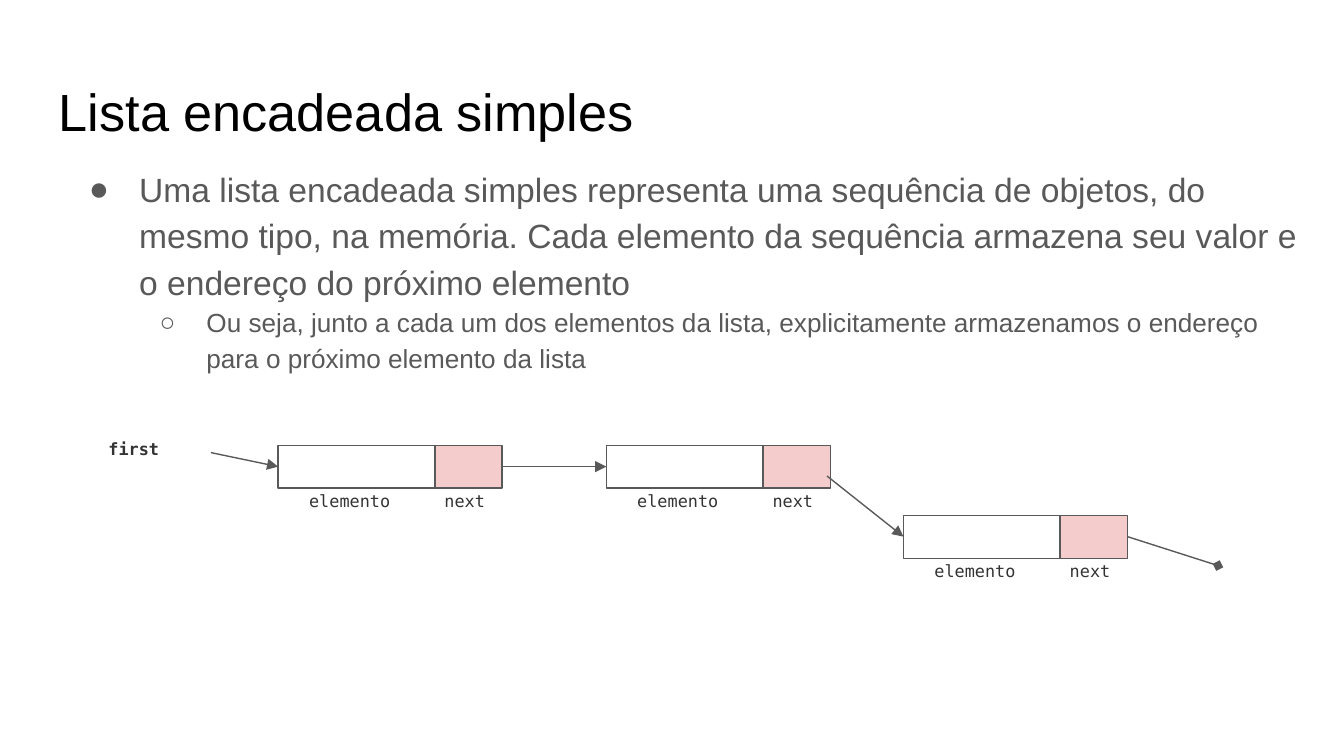
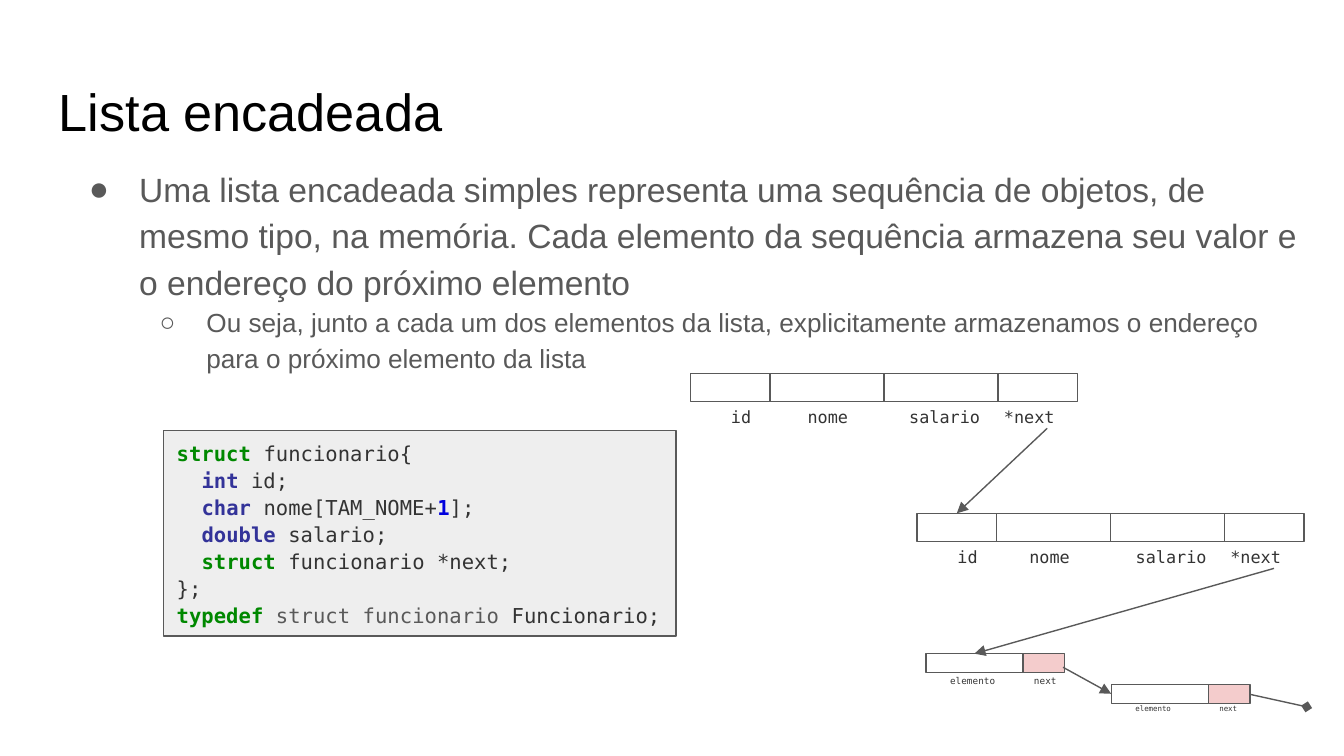
import lxml.etree
import pptx
import pptx.dml.color
import pptx.enum.shapes
import pptx.enum.text
import pptx.oxml.ns
import pptx.util

Pt = pptx.util.Pt
qn = pptx.oxml.ns.qn
GRAY, INK, PINK, PANEL = "595959", "333333", "F4CCCC", "EEEEEE"
KEYWORD, TYPE, NUMBER = "008800", "333399", "0000DD"
SANS, MONO = "Arial", "DejaVu Sans Mono"
DETAIL = (
    "Ou seja, junto a cada um dos elementos da lista, explicitamente "
    "armazenamos o endereço para o próximo elemento da lista"
)
STRUCT_CODE = [
    [("struct", KEYWORD), (" funcionario{", INK)],
    [("  ", INK), ("int", TYPE), (" id;", INK)],
    [("  ", INK), ("char", TYPE), (" nome[TAM_NOME+", INK), ("1", NUMBER), ("];", INK)],
    [("  ", INK), ("double", TYPE), (" salario;", INK)],
    [("  ", INK), ("struct", KEYWORD), (" funcionario *next;", INK)],
    [("};", INK)],
    [("typedef ", KEYWORD), ("struct funcionario ", GRAY), ("Funcionario;", INK)],
]


def rgb(value):
    return pptx.dml.color.RGBColor.from_string(value)


def assign(target, values):
    for key, value in values.items():
        setattr(target, key, value)


class Lecture:
    """Style of the lecture and the slide being filled."""

    FRAME = {
        "word_wrap": True,
        "vertical_anchor": pptx.enum.text.MSO_ANCHOR.TOP,
        **{f"margin_{side}": Pt(7.2) for side in ("left", "top", "right", "bottom")},
    }
    BULLETS = [("●", 18, 36, -27), ("○", 14, 72, -25)]

    def __init__(self):
        self.deck = pptx.Presentation()
        assign(self.deck, {"slide_width": Pt(720), "slide_height": Pt(405)})
        self.slide = None

    def page(self, title, statement):
        self.slide = self.deck.slides.add_slide(self.deck.slide_layouts[6])
        self.label(title, 24.5, 35, 671, 45.5, 28, "000000", SANS)
        self.bullets([statement, DETAIL])

    def frame(self, x, y, width, height):
        box = self.slide.shapes.add_textbox(Pt(x), Pt(y), Pt(width), Pt(height))
        assign(box.text_frame, self.FRAME)
        return box.text_frame

    def run(self, paragraph, text, size, color, font, bold=False):
        run = paragraph.add_run()
        run.text = text
        assign(run.font, {"size": Pt(size), "name": font, "bold": bold})
        run.font.color.rgb = rgb(color)

    def label(self, text, x, y, width, height, size=9, color=INK, font=MONO, bold=False):
        paragraph = self.frame(x, y, width, height).paragraphs[0]
        self.run(paragraph, text, size, color, font, bold)

    def bullets(self, texts):
        body = self.frame(31.5, 80, 671, 269)
        for level, (text, (mark, size, margin, indent)) in enumerate(zip(texts, self.BULLETS)):
            paragraph = body.paragraphs[0] if level == 0 else body.add_paragraph()
            assign(paragraph, {"level": level, "line_spacing": 1.15})
            self.run(paragraph, text, size, GRAY, SANS)
            properties = paragraph._p.get_or_add_pPr()
            properties.set("marL", str(Pt(margin)))
            properties.set("indent", str(Pt(indent)))
            tint = lxml.etree.SubElement(properties, qn("a:buClr"))
            lxml.etree.SubElement(tint, qn("a:srgbClr"), val=GRAY)
            lxml.etree.SubElement(properties, qn("a:buFont"), typeface=SANS)
            lxml.etree.SubElement(properties, qn("a:buChar"), char=mark)

    def cell(self, x, y, width, height, fill=None):
        cell = self.slide.shapes.add_shape(
            pptx.enum.shapes.MSO_SHAPE.RECTANGLE, Pt(x), Pt(y), Pt(width), Pt(height)
        )
        cell.shadow.inherit = False
        if fill:
            cell.fill.solid()
            cell.fill.fore_color.rgb = rgb(fill)
        else:
            cell.fill.background()
        cell.line.color.rgb = rgb(GRAY)
        cell.line.width = Pt(0.75)
        return cell

    def code(self, lines, x, y, width, height):
        listing = self.cell(x, y, width, height, PANEL).text_frame
        middle = pptx.enum.text.MSO_ANCHOR.MIDDLE
        assign(listing, {**self.FRAME, "vertical_anchor": middle})
        for number, tokens in enumerate(lines):
            paragraph = listing.add_paragraph() if number else listing.paragraphs[0]
            assign(paragraph, {"line_spacing": 1.1, "alignment": pptx.enum.text.PP_ALIGN.LEFT})
            for text, color in tokens:
                self.run(paragraph, text, 11, color, MONO, color in (KEYWORD, TYPE, NUMBER))

    def node(self, x, y, size=9, across=1, down=1):
        self.cell(x + 84 * across, y, 36 * across, 23 * down, PINK)
        self.cell(x, y, 84 * across, 23 * down)
        for text, offset, width in (("elemento", 9.5, 63), ("next", 82, 43)):
            self.label(text, x + offset * across, y + 18.7 * down, width * across, 26.5 * down, size)

    def record(self, x, y, nome_offset):
        left = x
        for width in (42.6, 61, 61, 42.6):
            self.cell(left, y, width, 15)
            left += width
        fields = (("id", 14.5, 26), ("nome", nome_offset, 48), ("salario", 110, 55), ("*next", 160.7, 60))
        for text, offset, width in fields:
            self.label(text, x + offset, y + 12.3, width, 17)

    def pointer(self, start, end, head="triangle"):
        arrow = self.slide.shapes.add_connector(
            pptx.enum.shapes.MSO_CONNECTOR.STRAIGHT, *(Pt(value) for value in (*start, *end))
        )
        arrow.line.color.rgb = rgb(GRAY)
        arrow.line.width = Pt(0.75)
        properties = arrow._element.spPr
        lxml.etree.SubElement(properties.find(qn("a:ln")), qn("a:tailEnd"), type=head)
        lxml.etree.SubElement(properties, qn("a:effectLst"))


def statement(preposition):
    return (
        f"Uma lista encadeada simples representa uma sequência de objetos, {preposition} "
        "mesmo tipo, na memória. Cada elemento da sequência armazena seu valor e "
        "o endereço do próximo elemento"
    )


def main():
    lecture = Lecture()

    lecture.page("Lista encadeada simples", statement("do"))
    lecture.label("first", 51, 229.5, 63, 26.5, bold=True)
    for x, y in ((149, 238.5), (324.8, 238.5), (484, 276.3)):
        lecture.node(x, y)
    lecture.pointer((113, 242.5), (149, 250))
    lecture.pointer((269, 250), (324.8, 250))
    lecture.pointer((443, 255), (484, 287.5))
    lecture.pointer((604, 287.5), (652.5, 303), "diamond")

    lecture.page("Lista encadeada", statement("de"))
    lecture.code(STRUCT_CODE, 87.6, 230.6, 274.6, 110.2)
    lecture.record(370, 200, 55.5)
    lecture.record(491.3, 275, 53)
    lecture.node(496, 350.2, 5, 0.62, 0.44)
    lecture.node(595.3, 366.7, 4, 0.62, 0.44)
    lecture.pointer((561, 229.5), (512.6, 275))
    lecture.pointer((682.5, 304.5), (522, 350.2))
    lecture.pointer((569.5, 357.5), (595.3, 371.7))
    lecture.pointer((669.7, 372), (700, 378.7), "diamond")

    lecture.deck.save("out.pptx")


if __name__ == "__main__":
    main()
